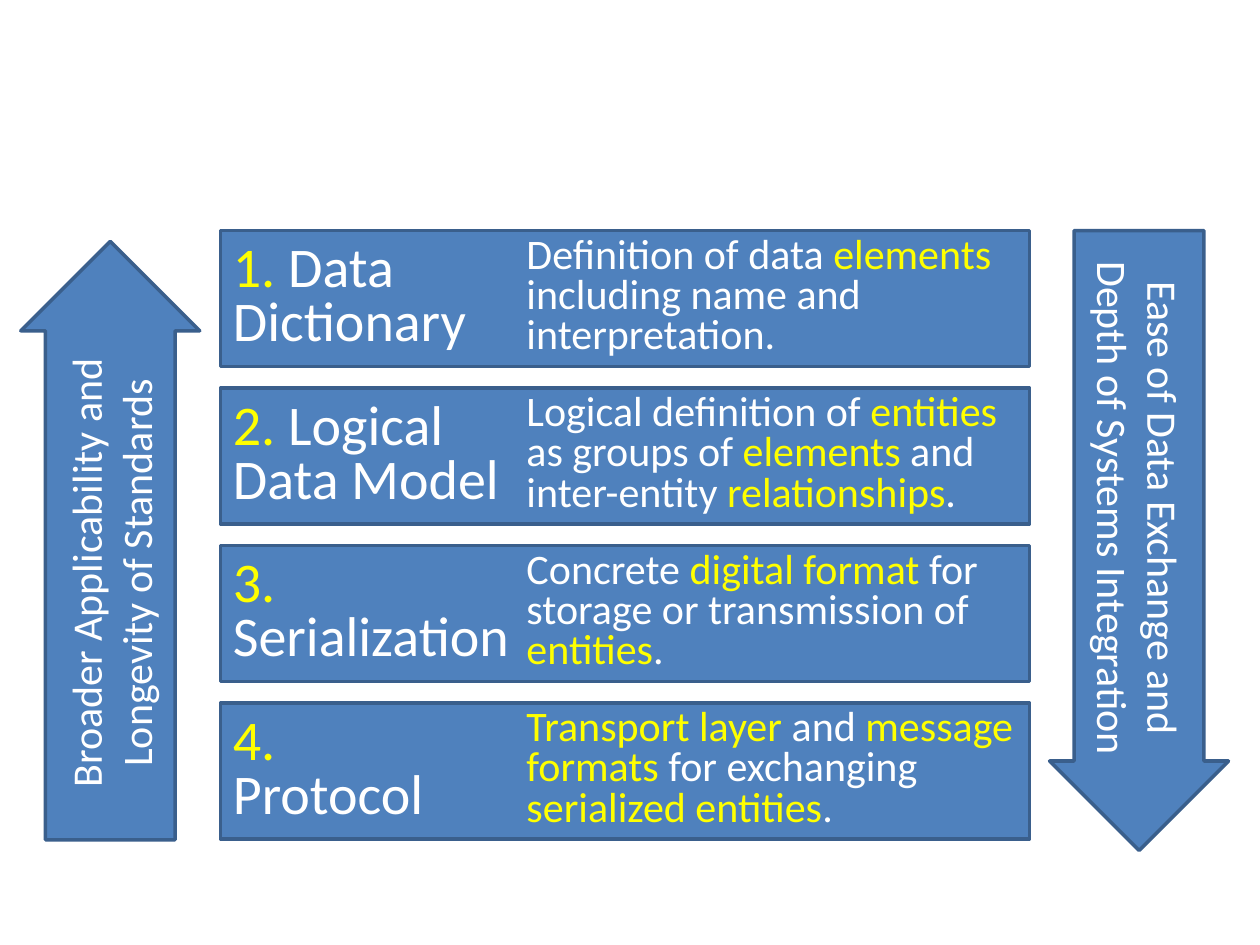
from pptx import Presentation
from pptx.dml.color import RGBColor
from pptx.enum.shapes import MSO_SHAPE
from pptx.enum.text import MSO_ANCHOR, PP_ALIGN
from pptx.util import Inches, Pt

COLORS = {"fill": "4F81BD", "line": "3A5F8C", "text": "FFFFFF", "accent": "FFFF00"}

# Words between asterisks take the accent colour.
LAYERS = [
    ("*1. *Data\nDictionary",
     "Definition of data *elements* including name and interpretation."),
    ("*2. *Logical\nData Model",
     "Logical definition of *entities* as groups of *elements* and "
     "inter-entity *relationships*."),
    ("*3.*\nSerialization",
     "Concrete *digital format *for storage or transmission of *entities*."),
    ("*4.*\nProtocol",
     "*Transport layer *and *message formats *for exchanging "
     "*serialized entities*."),
]
LAYER_LEFT, LAYER_TOP, LAYER_WIDTH, LAYER_HEIGHT = 1.75, 1.83, 6.42, 1.08
LAYER_STEP = 1.25
DETAIL_LEFT, DETAIL_WIDTH = 4.08, 4.08

ARROWS = [
    ("Ease of Data Exchange and\nDepth of Systems Integration", 6.58, 4.92, 90),
    ("Broader Applicability and\nLongevity of Standards", -1.5, 4.75, 270),
]
ARROW_TOP, ARROW_HEIGHT = 3.58, 1.42


def write_text(frame, text, size=24, spacing=None, align=PP_ALIGN.LEFT,
               anchor=MSO_ANCHOR.MIDDLE):
    """Write one paragraph, with accent spans and line breaks."""
    frame.word_wrap = True
    frame.vertical_anchor = anchor
    para = frame.paragraphs[0]
    para.alignment = align
    para.line_spacing = spacing
    for index, part in enumerate(text.split("*")):
        color = COLORS["accent" if index % 2 else "text"]
        for line_number, line in enumerate(part.split("\n")):
            if line_number:
                para.add_line_break()
            if line:
                span = para.add_run()
                span.text = line
                span.font.name = "Calibri"
                span.font.size = Pt(size)
                span.font.color.rgb = RGBColor.from_string(color)


class StandardsSlide:
    """Holds the shape style and the current page."""

    def __init__(self, deck):
        """Add a blank page to the deck."""
        self.page = deck.slides.add_slide(deck.slide_layouts[6])

    def block(self, shapes, kind, left, top, width, height):
        """Add a filled and outlined shape."""
        shape = shapes.add_shape(kind, Inches(left), Inches(top),
                                 Inches(width), Inches(height))
        shape.shadow.inherit = False
        shape.fill.solid()
        shape.fill.fore_color.rgb = RGBColor.from_string(COLORS["fill"])
        shape.line.color.rgb = RGBColor.from_string(COLORS["line"])
        shape.line.width = Pt(2)
        return shape

    def layer(self, top, title, detail):
        """Add a grouped bar with a title and its explanation."""
        shapes = self.page.shapes.add_group_shape().shapes
        bar = self.block(shapes, MSO_SHAPE.RECTANGLE, LAYER_LEFT, top,
                         LAYER_WIDTH, LAYER_HEIGHT)
        write_text(bar.text_frame, title, size=32, spacing=0.8)
        box = shapes.add_textbox(Inches(DETAIL_LEFT), Inches(top),
                                 Inches(DETAIL_WIDTH), Inches(LAYER_HEIGHT))
        write_text(box.text_frame, detail, spacing=0.8, anchor=MSO_ANCHOR.TOP)

    def arrow(self, text, left, length, rotation):
        """Add a turned block arrow with centred text."""
        arrow = self.block(self.page.shapes, MSO_SHAPE.RIGHT_ARROW, left,
                           ARROW_TOP, length, ARROW_HEIGHT)
        arrow.adjustments[0] = 0.725
        arrow.adjustments[1] = 0.5
        arrow.rotation = rotation
        write_text(arrow.text_frame, text, align=PP_ALIGN.CENTER)


def main():
    """Build and save the deck."""
    deck = Presentation()
    deck.slide_width, deck.slide_height = Inches(10), Inches(7.5)
    slide = StandardsSlide(deck)
    for index, (title, detail) in enumerate(LAYERS):
        slide.layer(LAYER_TOP + index * LAYER_STEP, title, detail)
    for arrow in ARROWS:
        slide.arrow(*arrow)
    deck.save("out.pptx")


main()
